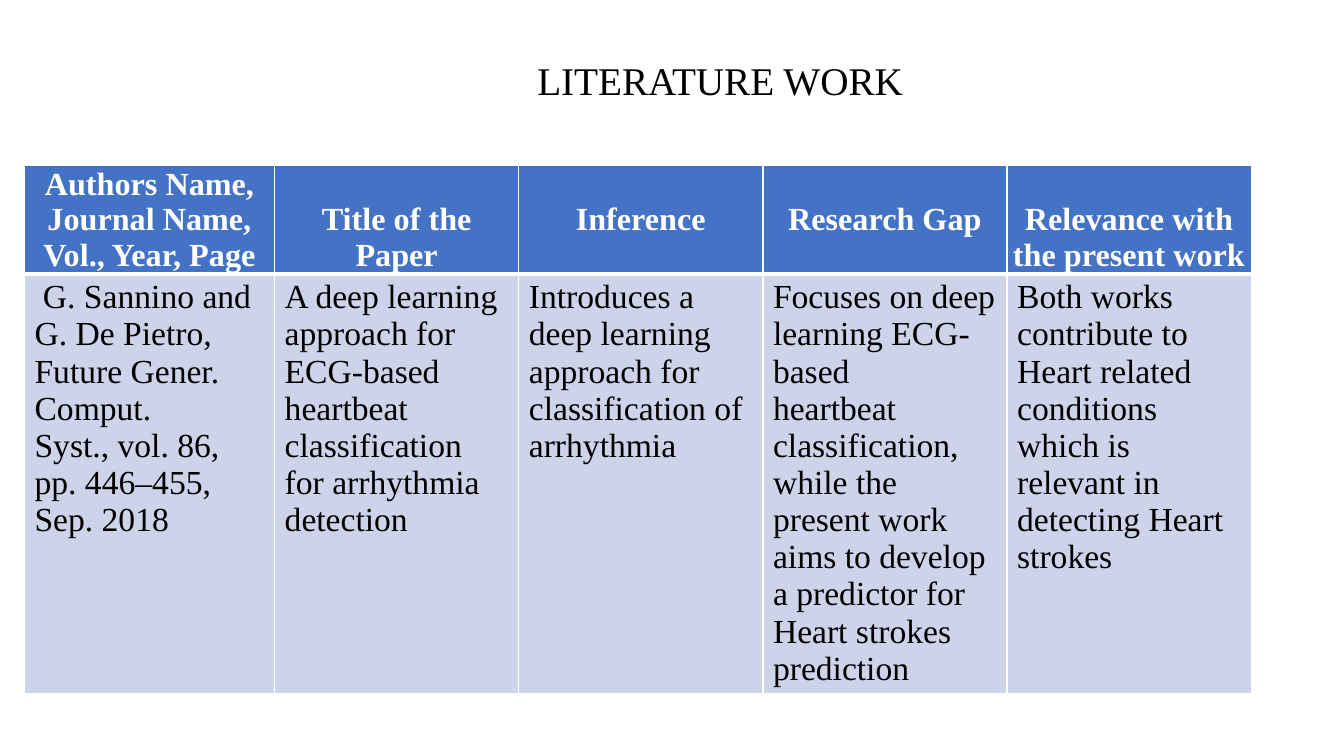
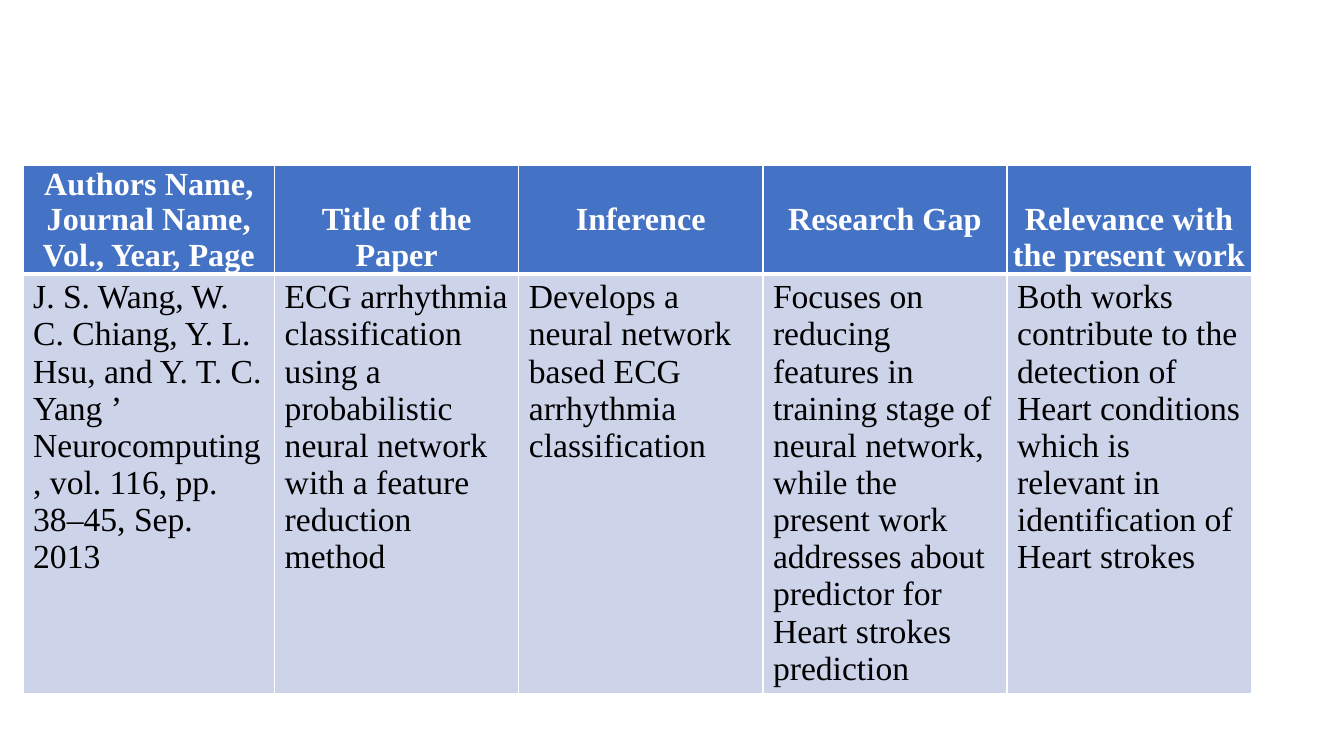
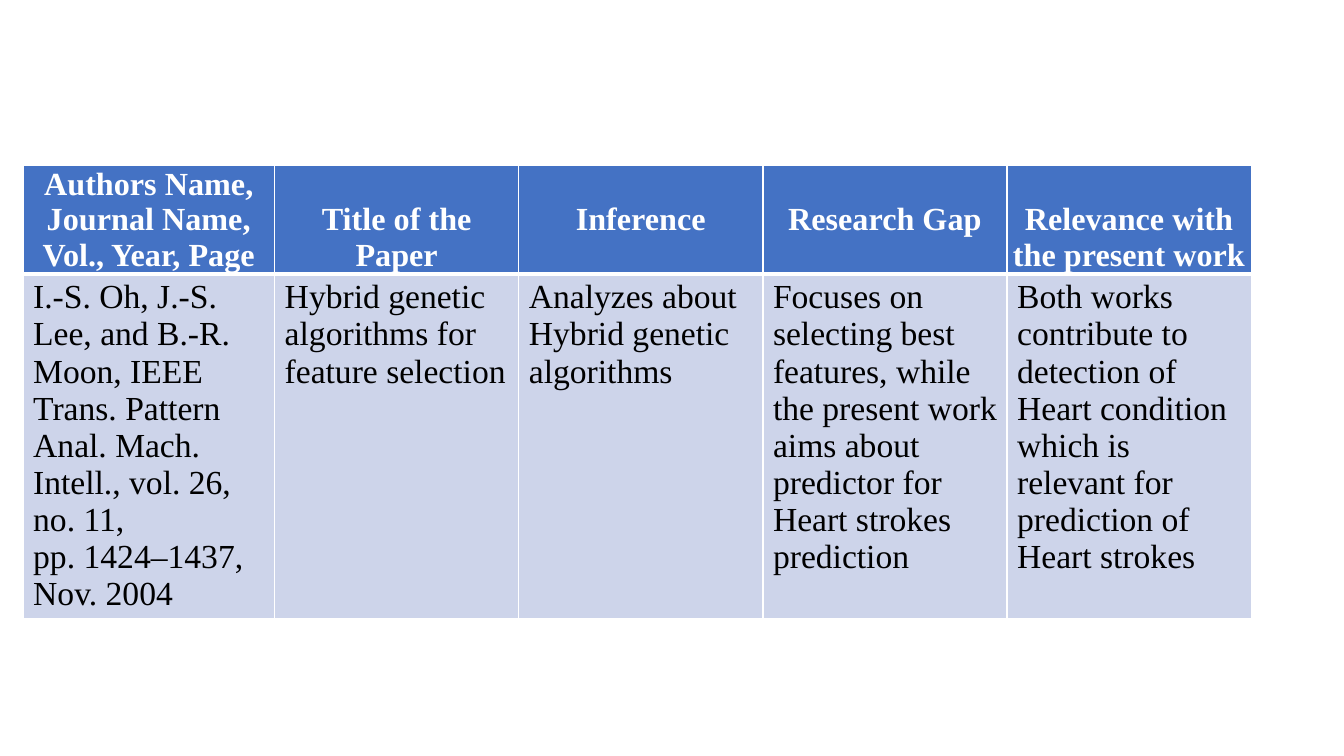
from dataclasses import dataclass

from pptx import Presentation
from pptx import util as u
from pptx.dml.color import RGBColor
from pptx.enum import text
from pptx.oxml import xmlchemy
from pptx.oxml.ns import qn

# Shared style
FONT = "Times New Roman"
WHITE = RGBColor(0xFF, 0xFF, 0xFF)
BLACK = RGBColor(0x00, 0x00, 0x00)
HEADER_BLUE = RGBColor(0x44, 0x72, 0xC4)
BODY_BLUE = RGBColor(0xCD, 0xD4, 0xEA)

# Table geometry in points
TABLE_TOP = 118.2
TABLE_RIGHT = 893.8
COLUMN_WIDTH = 174.4
HEADER_HEIGHT = 77
HEADER_LINE = 25.5
BODY_LINE = 26.57
BODY_PADDING = 7.2
THIN, THICK = 1, 3

TITLE_ONLY, BLANK = 5, 6

HEADINGS = [
    "Authors Name, Journal Name, Vol., Year, Page",
    "Title of the Paper",
    "Inference",
    "Research Gap",
    "Relevance with the present work",
]


@dataclass(frozen=True)
class Review:
    """One reviewed paper; each line break in an entry starts a paragraph."""
    entries: list[str]
    left: float
    body_lines: int
    title: str = ""


REVIEWS = [
    Review(
        [
            " G. Sannino and G. De Pietro, Future Gener. Comput.\n"
            "Syst., vol. 86, pp. 446–455, Sep. 2018",
            "A deep learning approach for ECG-based\n"
            "heartbeat classification for arrhythmia detection",
            "Introduces a deep learning approach for classification of arrhythmia",
            "Focuses on deep learning ECG-based\n"
            "heartbeat classification, while the present work aims to develop "
            "a predictor for Heart strokes prediction",
            "Both works contribute to Heart related conditions which is relevant "
            "in detecting Heart strokes",
        ],
        left=17.5, body_lines=11, title="LITERATURE WORK",
    ),
    Review(
        [
            "J. S. Wang, W. C. Chiang, Y. L. Hsu, and Y. T. C. Yang ’ "
            "Neurocomputing, vol. 116, pp. 38–45, Sep. 2013",
            "ECG arrhythmia\n"
            "classification using a probabilistic neural network with a feature "
            "reduction\nmethod",
            "Develops a neural network based ECG arrhythmia\nclassification",
            "Focuses on reducing features in training stage of neural network, "
            "while the present work addresses about predictor for Heart strokes "
            "prediction",
            "Both works contribute to the detection of Heart conditions which is "
            "relevant in identification of Heart strokes",
        ],
        left=16.5, body_lines=11,
    ),
    Review(
        [
            "I.-S. Oh, J.-S. Lee, and B.-R. Moon, IEEE Trans. Pattern Anal. "
            "Mach. Intell., vol. 26, no. 11,\n"
            "pp. 1424–1437, Nov. 2004",
            "Hybrid genetic algorithms for\nfeature selection",
            "Analyzes about Hybrid genetic algorithms",
            "Focuses on selecting best features, while the present work aims "
            "about predictor for Heart strokes prediction",
            "Both works contribute to detection of Heart condition which is "
            "relevant for prediction of Heart strokes",
        ],
        left=16.5, body_lines=9,
    ),
]


def style_paragraph(para, size: float, color: RGBColor, bold: bool = False) -> None:
    para.font.name = FONT
    para.font.size = u.Pt(size)
    para.font.bold = bold
    para.font.color.rgb = color


def set_borders(cell, top: float, bottom: float) -> None:
    """Put white lines round a cell; they must precede its fill in the XML."""
    properties = cell._tc.get_or_add_tcPr()
    widths = {"a:lnL": THIN, "a:lnR": THIN, "a:lnT": top, "a:lnB": bottom}
    for position, (tag, width) in enumerate(widths.items()):
        line = xmlchemy.OxmlElement(tag)
        line.set("w", str(u.Pt(width)))
        fill = xmlchemy.OxmlElement("a:solidFill")
        color = xmlchemy.OxmlElement("a:srgbClr")
        color.set("val", str(WHITE))
        fill.append(color)
        line.append(fill)
        properties.insert(position, line)


def fill_header(cell, heading: str, first: bool) -> None:
    cell.text = heading
    cell.fill.solid()
    cell.fill.fore_color.rgb = HEADER_BLUE
    cell.margin_left = cell.margin_right = u.Pt(1.4)
    # Short headings start on the second line of the first heading
    cell.margin_top = u.Pt(0.7 if first else 0.7 + HEADER_LINE)
    cell.margin_bottom = u.Pt(0)
    para = cell.text_frame.paragraphs[0]
    para.alignment = text.PP_ALIGN.CENTER
    style_paragraph(para, 23, WHITE, bold=True)
    set_borders(cell, THIN, THICK)


def fill_body(cell, entry: str) -> None:
    cell.text = entry
    cell.fill.solid()
    cell.fill.fore_color.rgb = BODY_BLUE
    for para in cell.text_frame.paragraphs:
        style_paragraph(para, 24, BLACK)
    set_borders(cell, THICK, THIN)


def add_title(page, title: str) -> None:
    box = page.shapes.title
    box.left, box.top = u.Pt(134.6), u.Pt(20)
    box.width, box.height = u.Pt(759.6), u.Pt(78)
    frame = box.text_frame
    frame.text = title
    frame.auto_size = text.MSO_AUTO_SIZE.NONE
    frame.vertical_anchor = text.MSO_ANCHOR.MIDDLE
    para = frame.paragraphs[0]
    para.alignment = text.PP_ALIGN.CENTER
    para.line_spacing = 0.9
    style_paragraph(para, 28, BLACK)


def add_review_table(page, review: Review) -> None:
    body_height = review.body_lines * BODY_LINE + BODY_PADDING
    table = page.shapes.add_table(
        2, len(HEADINGS), u.Pt(review.left), u.Pt(TABLE_TOP),
        u.Pt(TABLE_RIGHT - review.left), u.Pt(HEADER_HEIGHT + body_height),
    ).table
    table.horz_banding = False
    table.rows[0].height = u.Pt(HEADER_HEIGHT)
    table.rows[1].height = u.Pt(body_height)
    # The first column takes what the equal columns leave
    for column in table.columns:
        column.width = u.Pt(COLUMN_WIDTH)
    others = COLUMN_WIDTH * (len(HEADINGS) - 1)
    table.columns[0].width = u.Pt(TABLE_RIGHT - review.left - others)
    for index, (heading, entry) in enumerate(zip(HEADINGS, review.entries)):
        fill_header(table.cell(0, index), heading, first=index == 0)
        fill_body(table.cell(1, index), entry)


def main() -> None:
    deck = Presentation()
    deck.slide_width, deck.slide_height = u.Pt(960), u.Pt(540)
    for review in REVIEWS:
        layout = deck.slide_layouts[TITLE_ONLY if review.title else BLANK]
        page = deck.slides.add_slide(layout)
        if review.title:
            add_title(page, review.title)
        add_review_table(page, review)
    deck.save("out.pptx")


if __name__ == "__main__":
    main()
